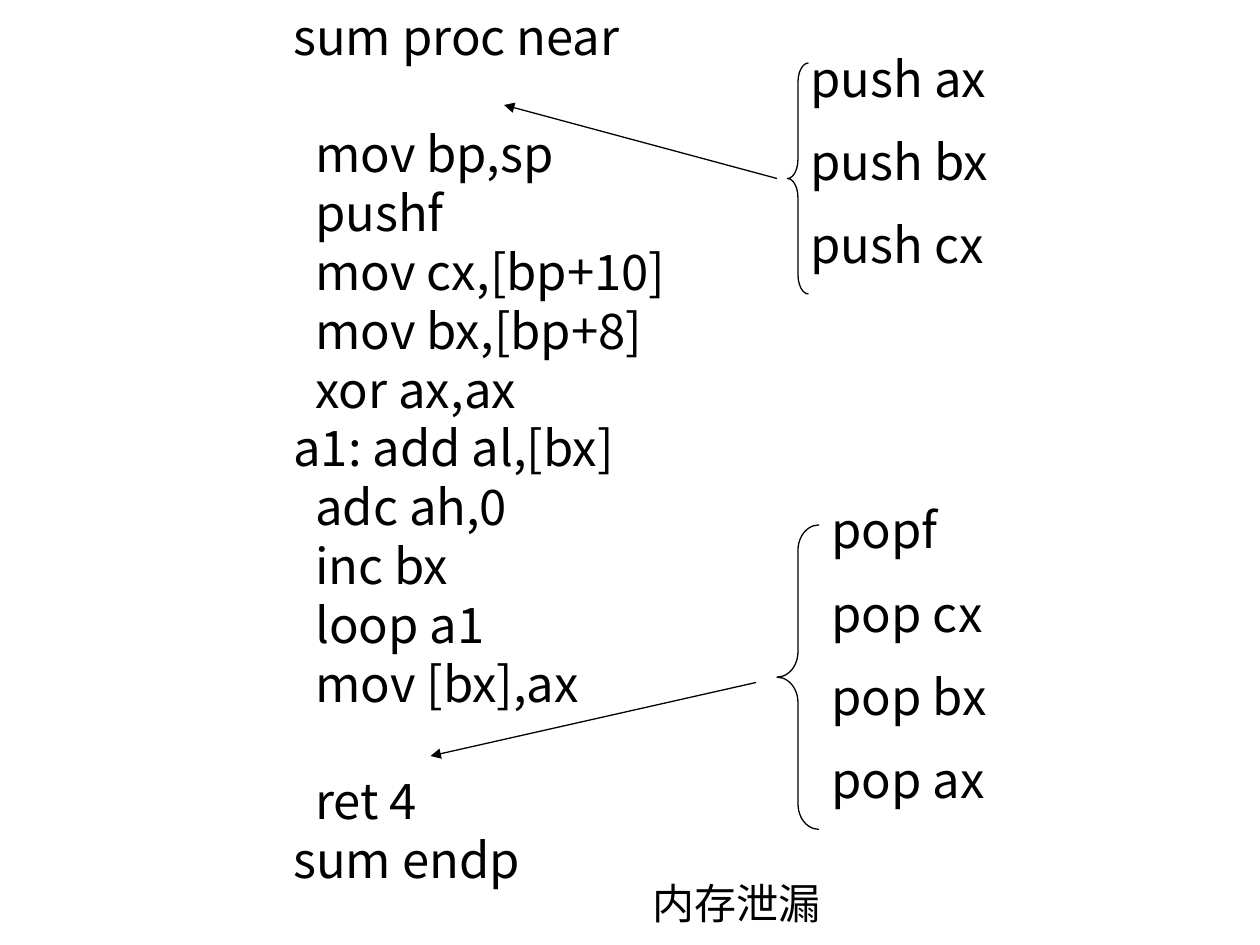
from dataclasses import dataclass

from pptx import Presentation
from pptx.dml.color import RGBColor
from pptx.enum.shapes import MSO_CONNECTOR, MSO_SHAPE
from pptx.enum.text import MSO_AUTO_SIZE
from pptx.oxml.ns import qn
from pptx.util import Inches, Pt
from lxml.etree import SubElement


@dataclass(frozen=True)
class Theme:
    ink: RGBColor = RGBColor(0, 0, 0)
    code_font: str = "Noto Sans CJK SC"
    note_font: str = "Times New Roman"
    code_size: int = 28
    note_size: int = 24
    line_width: float = 0.75
    blank_line: float = 33.5
    code_indent: float = 0.73


THEME = Theme()
UNIT = 1 / 12  # the grid has twelve steps to the inch

# An empty string stands for a blank line in the listing.
PROCEDURE = [
    "sum proc near", "", "  mov bp,sp", "  pushf", "  mov cx,[bp+10]",
    "  mov bx,[bp+8]", "  xor ax,ax", "a1: add al,[bx]", "  adc ah,0",
    "  inc bx", "  loop a1", "  mov [bx],ax", "", "  ret 4", "sum endp",
]
SAVE = ["push ax", "push bx", "push cx"]
RESTORE = ["popf", "pop cx", "pop bx", "pop ax"]


def grid(*steps):
    return [Inches(n * UNIT) for n in steps]


def add_text(slide, box, lines, font, size, gap=0, indent=0):
    tf = slide.shapes.add_textbox(*grid(*box)).text_frame
    tf.word_wrap = True
    tf.auto_size = MSO_AUTO_SIZE.SHAPE_TO_FIT_TEXT
    p, before = tf.paragraphs[0], 0
    for line in lines:
        if not line:
            before += THEME.blank_line
            continue
        if p.runs:
            p = tf.add_paragraph()
            p.space_before = Pt(before + gap)
        before = 0
        if indent:
            p._p.get_or_add_pPr().set("indent", str(Inches(indent)))
        r = p.add_run()
        r.text = line
        for name, value in dict(name=font, size=Pt(size)).items():
            setattr(r.font, name, value)
        r.font.color.rgb = THEME.ink
        SubElement(r._r.get_or_add_rPr(), qn("a:ea")).set("typeface", THEME.code_font)


def style_line(line):
    line.color.rgb = THEME.ink
    line.width = Pt(THEME.line_width)


def add_brace(slide, box, curve):
    sp = slide.shapes.add_shape(MSO_SHAPE.LEFT_BRACE, *grid(*box))
    sp.shadow.inherit = False
    sp.fill.background()
    sp.adjustments[0] = curve
    style_line(sp.line)


def add_arrow(slide, start, end):
    sp = slide.shapes.add_connector(MSO_CONNECTOR.STRAIGHT, *grid(*start, *end))
    style_line(sp.line)
    SubElement(sp.line._get_or_add_ln(), qn("a:tailEnd")).set("type", "triangle")
    SubElement(sp._element.spPr, qn("a:effectLst"))


def add_insertion(slide, lines, text_box, brace_box, curve, start, end):
    """Braced instructions with an arrow to their place in the procedure."""
    add_text(slide, text_box, lines, THEME.code_font, THEME.code_size,
             gap=THEME.code_size / 2)
    add_brace(slide, brace_box, curve)
    add_arrow(slide, start, end)


def main():
    prs = Presentation()
    prs.slide_width, prs.slide_height = grid(120, 90)
    slide = prs.slides.add_slide(prs.slide_layouts[6])
    add_text(slide, (18, 0, 71, 85.3), PROCEDURE, THEME.code_font,
             THEME.code_size, indent=THEME.code_indent)
    add_insertion(slide, SAVE, (76, 4, 27, 23.6), (75, 6, 2, 22), 0.917,
                  (74, 17), (48, 10))
    add_insertion(slide, RESTORE, (78, 47, 28, 32), (74, 50, 4, 29), 0.604,
                  (72, 65), (41, 72))
    add_text(slide, (61, 83, 19, 6), ["内存泄漏"], THEME.note_font, THEME.note_size)
    prs.save("out.pptx")


if __name__ == "__main__":
    main()
